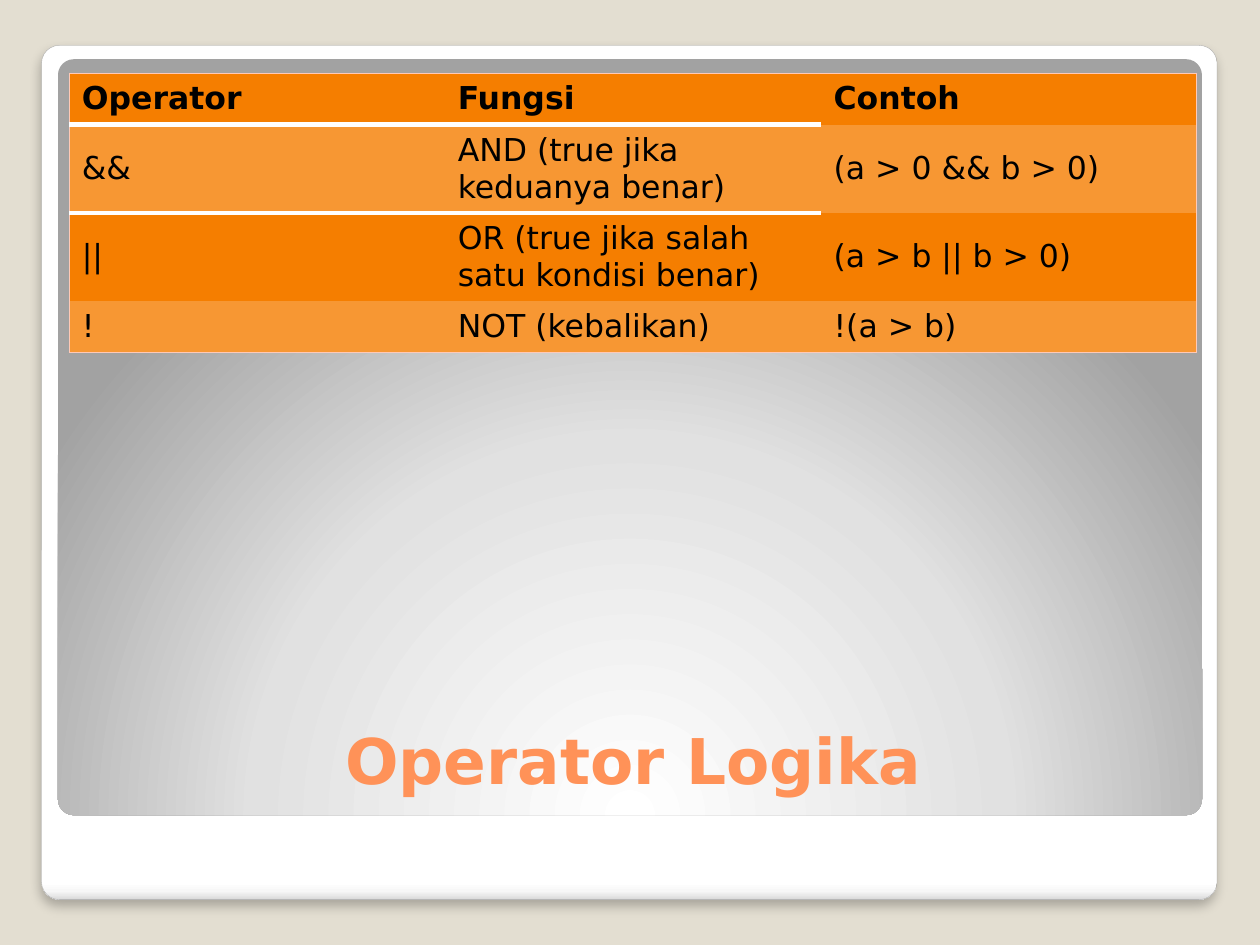
from dataclasses import dataclass

from lxml import etree
from pptx import Presentation
from pptx import util as u
from pptx.dml.color import RGBColor
from pptx.enum import shapes, text
from pptx.oxml import parse_xml
from pptx.oxml.ns import nsdecls, qn


@dataclass(frozen=True)
class Theme:
    font: str = "DejaVu Sans"
    backdrop: str = "E3DED1"
    outline: str = "A4A4A4"
    title: str = "FF9258"
    ink: str = "000000"
    row_dark: str = "F57E00"
    row_light: str = "F79733"
    border: str = "FFC9B6"
    rule: str = "FFFFFF"
    title_size: int = 36
    body_size: int = 18
    border_width: float = 0.75
    rule_width: float = 3
    no_grid_style: str = "{2D5ABB26-0587-4C30-8999-92F81FD0307C}"


@dataclass(frozen=True)
class Box:
    left: float
    top: float
    width: float
    height: float

    def lengths(self) -> list[u.Length]:
        return [u.Inches(v) for v in (self.left, self.top, self.width, self.height)]


@dataclass(frozen=True)
class Panel:
    box: Box
    stops: tuple[tuple[int, str], ...]
    direction: str
    framed: bool = False


THEME = Theme()
PANELS = (
    Panel(
        Box(0.33, 0.36, 9.33, 6.78),
        ((0, "FFFFFF"), (98, "FFFFFF"), (99, "F7F7F7"), (100, "DADADA")),
        '<a:lin ang="5400000" scaled="0"/>',
        framed=True,
    ),
    Panel(
        Box(0.46, 0.47, 9.08, 6),
        ((0, "FFFFFF"), (55, "E1E1E1"), (100, "A2A2A2")),
        '<a:path path="circle"><a:fillToRect l="50000" t="175000" r="50000" b="-75000"/></a:path>',
    ),
)
TITLE_BOX = Box(0.55, 5.45, 8.95, 1.15)
ROW_HEIGHT = 0.41
ROWS = (
    ("Operator", "Fungsi", "Contoh"),
    ("&&", "AND (true jika keduanya benar)", "(a > 0 && b > 0)"),
    ("||", "OR (true jika salah satu kondisi benar)", "(a > b || b > 0)"),
    ("!", "NOT (kebalikan)", "!(a > b)"),
)
TABLE_BOX = Box(0.55, 0.58, 8.95, ROW_HEIGHT * len(ROWS))


def rgb(value: str) -> RGBColor:
    return RGBColor.from_string(value)


def add_run(p, words: str, size: int, color: str, bold: bool) -> None:
    r = p.add_run()
    r.text = words
    r.font.name = THEME.font
    r.font.size = u.Pt(size)
    r.font.bold = bold
    r.font.color.rgb = rgb(color)


def add_panel(s, panel: Panel) -> None:
    sp = s.shapes.add_shape(shapes.MSO_SHAPE.ROUNDED_RECTANGLE, *panel.box.lengths())
    sp.adjustments[0] = 0.021
    sp.shadow.inherit = False
    sp.fill.background()
    stops = "".join(
        f'<a:gs pos="{pos * 1000}"><a:srgbClr val="{color}"/></a:gs>'
        for pos, color in panel.stops
    )
    props = sp._element.spPr
    props.replace(
        props.find(qn("a:noFill")),
        parse_xml(
            f'<a:gradFill {nsdecls("a")} rotWithShape="1">'
            f"<a:gsLst>{stops}</a:gsLst>{panel.direction}</a:gradFill>"
        ),
    )
    if not panel.framed:
        sp.line.fill.background()
        return
    sp.line.color.rgb = rgb(THEME.outline)
    sp.line.width = u.Pt(0.16)
    shadow = etree.SubElement(
        props.find(qn("a:effectLst")),
        qn("a:outerShdw"),
        blurRad=str(u.Pt(6)),
        dist=str(u.Pt(4)),
        dir="5400000",
        algn="t",
        rotWithShape="0",
    )
    color = etree.SubElement(shadow, qn("a:srgbClr"), val=THEME.ink)
    etree.SubElement(color, qn("a:alpha"), val="25000")


def add_title(s, words: str) -> None:
    tf = s.shapes.add_textbox(*TITLE_BOX.lengths()).text_frame
    tf.word_wrap = True
    tf.vertical_anchor = text.MSO_ANCHOR.MIDDLE
    p = tf.paragraphs[0]
    p.alignment = text.PP_ALIGN.CENTER
    add_run(p, words, THEME.title_size, THEME.title, True)


def set_borders(cell, sides: dict[str, tuple[str, float]]) -> None:
    lines = [
        parse_xml(
            f'<a:ln{side} {nsdecls("a")} w="{u.Pt(width)}"><a:solidFill>'
            f'<a:srgbClr val="{color}"/></a:solidFill></a:ln{side}>'
        )
        for side, (color, width) in sides.items()
    ]
    cell._tc.get_or_add_tcPr()[0:0] = lines


def cell_borders(row: int, col: int) -> dict[str, tuple[str, float]]:
    last_row, last_col = len(ROWS) - 1, len(ROWS[0]) - 1
    edge = (THEME.border, THEME.border_width)
    on_edge = {"L": col == 0, "R": col == last_col, "T": row == 0, "B": row == last_row}
    sides = {side: edge for side, shown in on_edge.items() if shown}
    if row == 0 and col < last_col:
        sides["B"] = (THEME.rule, THEME.rule_width)
    if row == 1 and col < last_col:
        sides["T"] = (THEME.rule, THEME.rule_width)
    return sides


def add_operator_table(s) -> None:
    table = s.shapes.add_table(len(ROWS), len(ROWS[0]), *TABLE_BOX.lengths()).table
    table._tbl.tblPr.find(qn("a:tableStyleId")).text = THEME.no_grid_style
    for i, values in enumerate(ROWS):
        for j, words in enumerate(values):
            cell = table.cell(i, j)
            cell.vertical_anchor = text.MSO_ANCHOR.MIDDLE
            cell.fill.solid()
            cell.fill.fore_color.rgb = rgb(THEME.row_light if i % 2 else THEME.row_dark)
            add_run(cell.text_frame.paragraphs[0], words, THEME.body_size, THEME.ink, i == 0)
            set_borders(cell, cell_borders(i, j))


def main() -> None:
    prs = Presentation()
    prs.slide_width, prs.slide_height = u.Inches(10), u.Inches(7.5)
    s = prs.slides.add_slide(prs.slide_layouts[6])
    s.background.fill.solid()
    s.background.fill.fore_color.rgb = rgb(THEME.backdrop)
    for panel in PANELS:
        add_panel(s, panel)
    add_title(s, "Operator Logika")
    add_operator_table(s)
    prs.save("out.pptx")


if __name__ == "__main__":
    main()
